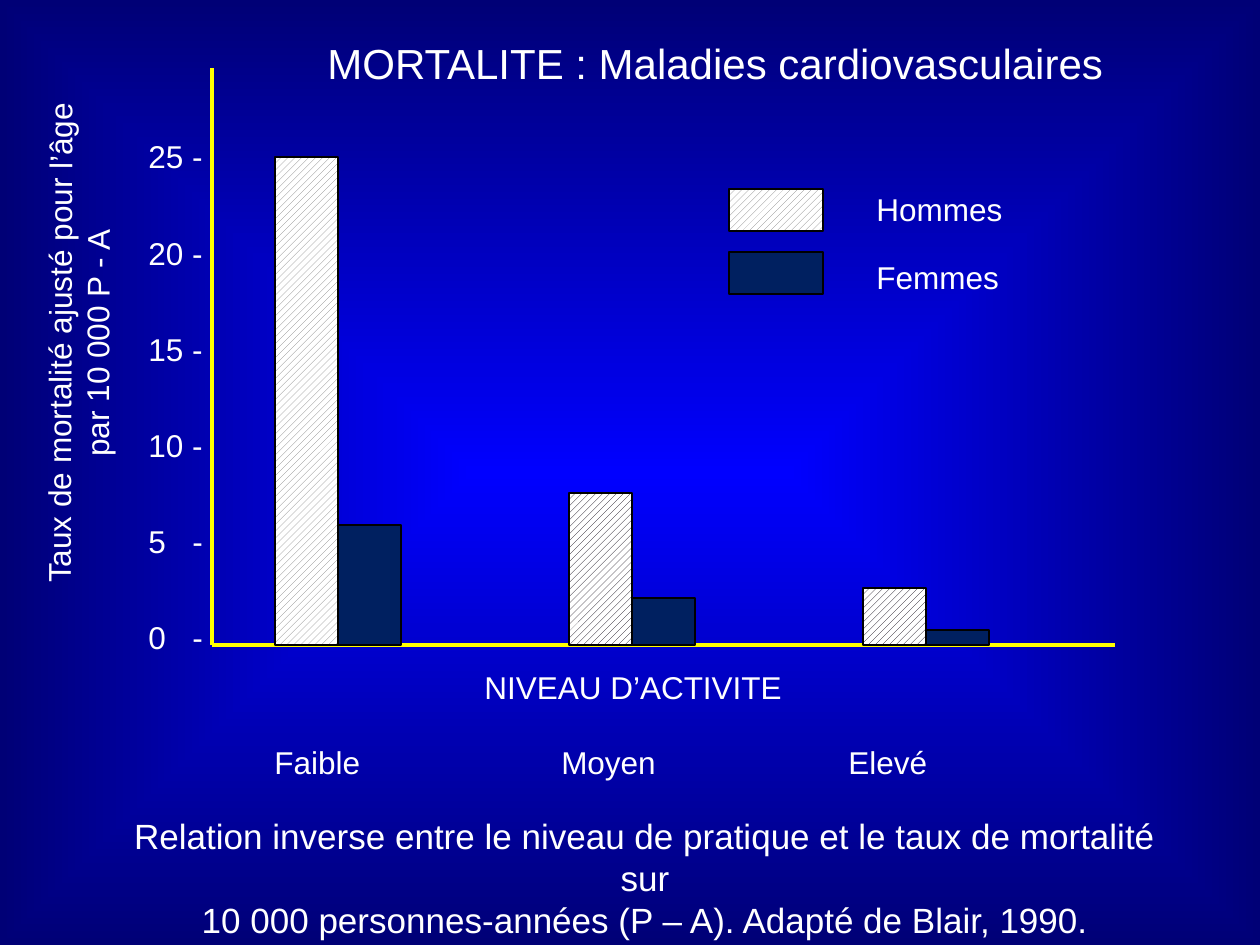
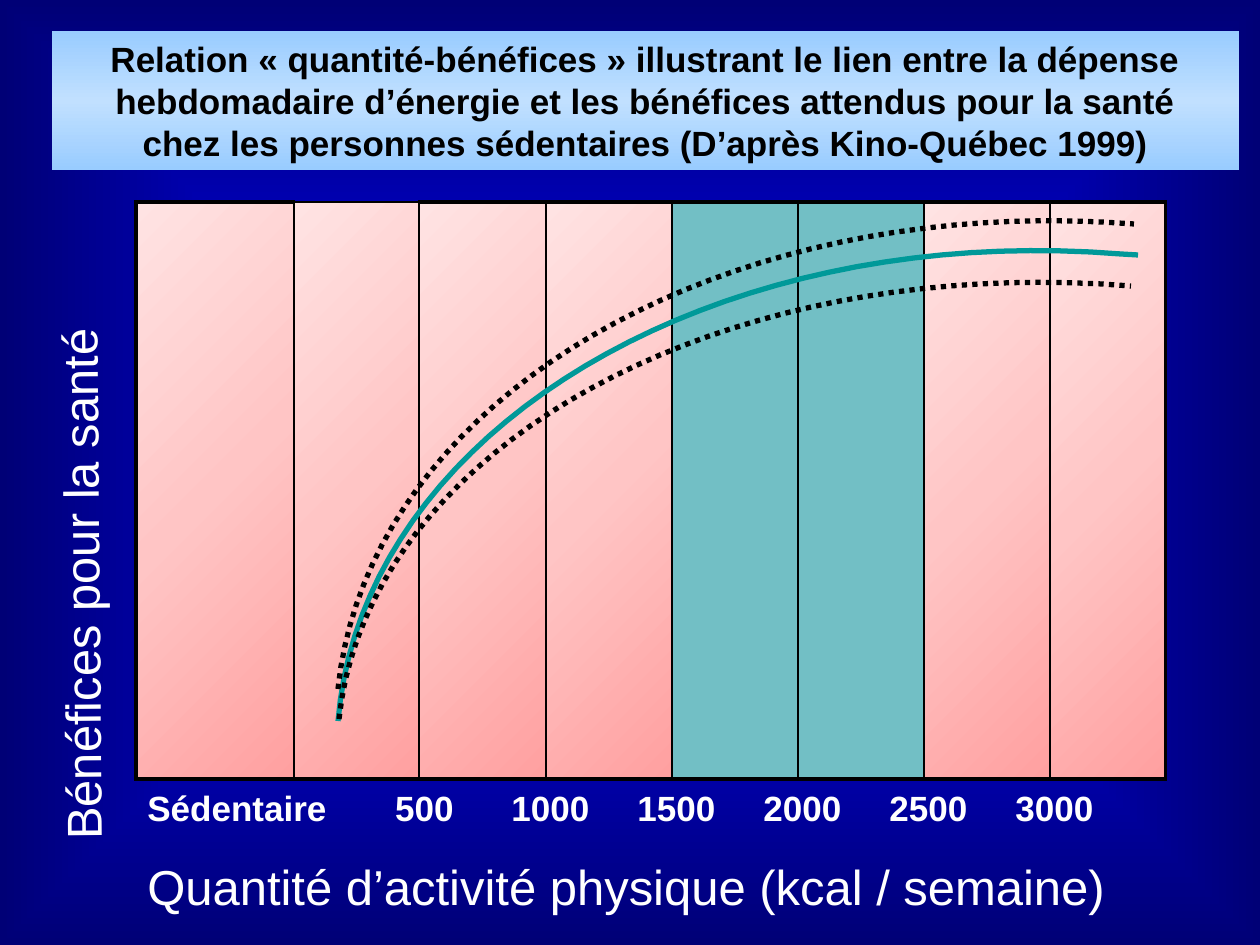
from dataclasses import dataclass

from pptx import Presentation
from pptx.dml.color import RGBColor
from pptx.enum.dml import MSO_LINE, MSO_PATTERN
from pptx.enum.shapes import MSO_CONNECTOR, MSO_SHAPE
from pptx.enum.text import PP_ALIGN
from pptx.oxml import parse_xml
from pptx.oxml.ns import nsdecls, qn
from pptx.util import Pt

PX = 7257  # EMU per px, 126 px to the inch


@dataclass(frozen=True)
class Theme:
    font: str = "Arial"
    white: RGBColor = RGBColor(0xFF, 0xFF, 0xFF)
    black: RGBColor = RGBColor(0, 0, 0)
    axis: RGBColor = RGBColor(0xFF, 0xFF, 0)
    women: RGBColor = RGBColor(0, 0x20, 0x60)
    hatch_grey: RGBColor = RGBColor(0x80, 0x80, 0x80)
    hatch_dark: RGBColor = RGBColor(0x09, 0, 0x10)
    curve: RGBColor = RGBColor(0, 0x99, 0x99)
    target_zone: RGBColor = RGBColor(0x72, 0xBF, 0xC5)
    background: tuple = ((0, "0000FF"), (100, "000076"))
    zone: tuple = ((0, "FFA0A0"), (50, "FFC5C5"), (100, "FFE3E3"))
    banner: tuple = ((0, "99CCFF"), (50, "C1E0FF"), (100, "99CCFF"))
    label: int = 18
    text: int = 20
    title: int = 24
    axis_title: int = 28


theme = Theme()


def set_gradient(fill, owner, stops, direction):
    """Give a fill the stops and the direction element (lin or path)."""
    fill.gradient()
    gradient = next(owner.iter(qn("a:gradFill")))
    for child in list(gradient):
        gradient.remove(child)
    stop_xml = "".join(
        f'<a:gs pos="{position * 1000}"><a:srgbClr val="{color}"/></a:gs>'
        for position, color in stops)
    gradient.append(parse_xml(f'<a:gsLst {nsdecls("a")}>{stop_xml}</a:gsLst>'))
    gradient.append(parse_xml(direction))


def add_text(shape, lines, size, color=theme.white, bold=False, align=PP_ALIGN.LEFT,
             line_spacing=None, gap=0, tabs=(), tab_align="l"):
    """Fill a shape with one paragraph per line."""
    frame = shape.text_frame
    frame.word_wrap = True
    for index, line in enumerate(lines):
        paragraph = frame.paragraphs[0] if index == 0 else frame.add_paragraph()
        paragraph.alignment = align
        paragraph.line_spacing = line_spacing
        if index and gap:
            paragraph.space_before = Pt(gap)
        if tabs:
            stops = "".join(f'<a:tab pos="{tab * PX}" algn="{tab_align}"/>' for tab in tabs)
            paragraph._p.get_or_add_pPr().append(
                parse_xml(f'<a:tabLst {nsdecls("a")}>{stops}</a:tabLst>'))
        run = paragraph.add_run()
        run.text = line
        run.font.name = theme.font
        run.font.size = Pt(size)
        run.font.bold = bold
        run.font.color.rgb = color


presentation = Presentation()
presentation.slide_width = 1260 * PX
presentation.slide_height = 945 * PX
blank_layout = presentation.slide_layouts[6]

# Shared background
master = presentation.slide_master
set_gradient(master.background.fill, master.element, theme.background,
             f'<a:path {nsdecls("a")} path="shape">'
             '<a:fillToRect l="50000" t="50000" r="50000" b="50000"/></a:path>')

# Slide 1: mortality by activity level
slide = presentation.slides.add_slide(blank_layout)

# Axes
origin_x, baseline = 212, 645
for end_x, end_y in ((origin_x, 68), (1115, baseline)):
    axis = slide.shapes.add_connector(
        MSO_CONNECTOR.STRAIGHT, origin_x * PX, baseline * PX, end_x * PX, end_y * PX)
    axis.line.color.rgb = theme.axis
    axis.line.width = Pt(2.25)
    axis.element.spPr.append(parse_xml(f'<a:effectLst {nsdecls("a")}/>'))

tick_labels = slide.shapes.add_textbox(136 * PX, 137 * PX, 97 * PX, 559 * PX)
add_text(tick_labels, ["25 -", "20 -", "15 -", "10 -", "5\t-", "0\t-"], theme.label,
         line_spacing=0.85, gap=36.6, tabs=(44,))

# Bars in pairs, then the legend keys; hatch is None for women
bar_width, group_step = 63, 294
bars = []
for group, (men_height, women_height, hatch) in enumerate((
        (488, 120, theme.hatch_grey), (152, 47, theme.hatch_dark), (57, 15, theme.hatch_dark))):
    left = 275 + group * group_step
    bars.append((left, baseline - men_height, bar_width, men_height, hatch))
    bars.append((left + bar_width, baseline - women_height, bar_width, women_height, None))
legend_keys = [(729, 189, 94, 42, theme.hatch_grey), (729, 252, 94, 42, None)]

for *box, hatch in bars + legend_keys:
    bar = slide.shapes.add_shape(MSO_SHAPE.RECTANGLE, *(length * PX for length in box))
    bar.shadow.inherit = False
    bar.line.color.rgb = theme.black
    bar.line.width = Pt(1)
    if hatch is None:
        bar.fill.solid()
        bar.fill.fore_color.rgb = theme.women
    else:
        bar.fill.patterned()
        bar.fill.pattern = MSO_PATTERN.WIDE_UPWARD_DIAGONAL
        bar.fill.fore_color.rgb = hatch
        bar.fill.back_color.rgb = theme.white

for index, name in enumerate(("Hommes", "Femmes")):
    legend_label = slide.shapes.add_textbox(864 * PX, (184 + 68 * index) * PX, 170 * PX, 50 * PX)
    add_text(legend_label, [name], theme.label)

# Title, axis titles, categories and caption
title = slide.shapes.add_textbox(315 * PX, 31 * PX, 825 * PX, 63 * PX)
add_text(title, ["MORTALITE : Maladies cardiovasculaires"], theme.title)

rate_title = slide.shapes.add_textbox(-186 * PX, 299 * PX, 528 * PX, 88 * PX)
rate_title.rotation = 270.2
add_text(rate_title, ["Taux de mortalité ajusté pour l’âge", "par 10 000 P - A"],
         theme.label, align=PP_ALIGN.CENTER)

level_title = slide.shapes.add_textbox(472 * PX, 662 * PX, 360 * PX, 50 * PX)
add_text(level_title, ["NIVEAU D’ACTIVITE"], theme.label)

levels = slide.shapes.add_textbox(262 * PX, 737 * PX, 872 * PX, 50 * PX)
add_text(levels, ["Faible\tMoyen\tElevé"], theme.label, tabs=(287, 574))

caption = slide.shapes.add_textbox(96 * PX, 808 * PX, 1098 * PX, 97 * PX)
add_text(caption, ["Relation inverse entre le niveau de pratique et le taux de mortalité sur",
                   "10 000 personnes-années (P – A). Adapté de Blair, 1990."],
         theme.text, align=PP_ALIGN.CENTER)

# Slide 2: dose and benefit curve
slide = presentation.slides.add_slide(blank_layout)

# Zones as a one-row table
zone_widths = (158, 125, 127, 126, 126, 126, 126, 116)
last_zone = len(zone_widths) - 1
table_shape = slide.shapes.add_table(
    1, len(zone_widths), 136 * PX, 202 * PX, sum(zone_widths) * PX, 577 * PX)
table = table_shape.table
table.first_row = False
table.horz_banding = False
for index, cell_element in enumerate(table_shape.element.iter(qn("a:tc"))):
    table.columns[index].width = zone_widths[index] * PX
    cell = table.cell(0, index)
    if index in (4, 5):
        cell.fill.solid()
        cell.fill.fore_color.rgb = theme.target_zone
    else:
        set_gradient(cell.fill, cell_element, theme.zone,
                     f'<a:path {nsdecls("a")} path="circle">'
                     '<a:fillToRect l="100000" t="100000"/></a:path>')
    borders = (("lnL", 2.25 if index == 0 else 1),
               ("lnR", 2.25 if index == last_zone else 1),
               ("lnT", 1 if index == 1 else 2.25),
               ("lnB", 2.25))
    for place, (side, width) in enumerate(borders):
        cell_element.tcPr.insert(place, parse_xml(
            f'<a:{side} {nsdecls("a")} w="{Pt(width)}"><a:solidFill>'
            f'<a:srgbClr val="{theme.black}"/></a:solidFill></a:{side}>'))

# Curves: four Bezier points, then an optional straight tail
curves = (
    (((338, 721), (362, 430), (712, 221), (1121, 254), (1138, 255)), theme.curve, None),
    (((339, 719), (368, 446), (721, 253), (1131, 286)), theme.black, MSO_LINE.ROUND_DOT),
    (((338, 689), (368, 398), (722, 192), (1134, 224)), theme.black, MSO_LINE.ROUND_DOT),
)
steps = 40
for points, color, dash in curves:
    vertices = []
    for step in range(steps + 1):
        t = step / steps
        weights = ((1 - t) ** 3, 3 * t * (1 - t) ** 2, 3 * t ** 2 * (1 - t), t ** 3)
        vertices.append(tuple(
            round(PX * sum(weight * point[axis_index] for weight, point in zip(weights, points)))
            for axis_index in (0, 1)))
    vertices += [(x * PX, y * PX) for x, y in points[4:]]
    builder = slide.shapes.build_freeform(*vertices[0])
    builder.add_line_segments(vertices[1:], close=False)
    curve = builder.convert_to_shape()
    curve.shadow.inherit = False
    curve.fill.background()
    curve.line.color.rgb = color
    curve.line.width = Pt(3)
    curve.line.dash_style = dash

# Axis labels and titles
energy_labels = slide.shapes.add_textbox(135 * PX, 788 * PX, 995 * PX, 50 * PX)
add_text(energy_labels, ["Sédentaire\t500\t1000\t1500\t2000\t2500\t3000"], theme.text, bold=True,
         line_spacing=0.8, tabs=[277 + 126 * index for index in range(6)], tab_align="ctr")

energy_title = slide.shapes.add_textbox(135 * PX, 862 * PX, 1020 * PX, 64 * PX)
add_text(energy_title, ["Quantité d’activité physique (kcal / semaine)"], theme.axis_title,
         line_spacing=0.8)

benefit_title = slide.shapes.add_textbox(-191 * PX, 545 * PX, 543 * PX, 72 * PX)
benefit_title.rotation = 269.5
add_text(benefit_title, ["Bénéfices pour la santé"], theme.axis_title)

# Banner
banner = slide.shapes.add_shape(MSO_SHAPE.RECTANGLE, 52 * PX, 31 * PX, 1187 * PX, 139 * PX)
banner.shadow.inherit = False
banner.line.fill.background()
set_gradient(banner.fill, banner.element, theme.banner,
             f'<a:lin {nsdecls("a")} ang="5400000" scaled="0"/>')
add_text(banner, ["Relation « quantité-bénéfices » illustrant le lien entre la dépense",
                  "hebdomadaire d’énergie et les bénéfices attendus pour la santé",
                  "chez les personnes sédentaires (D’après Kino-Québec 1999)"],
         theme.text, color=theme.black, bold=True, align=PP_ALIGN.CENTER)

presentation.save("out.pptx")
